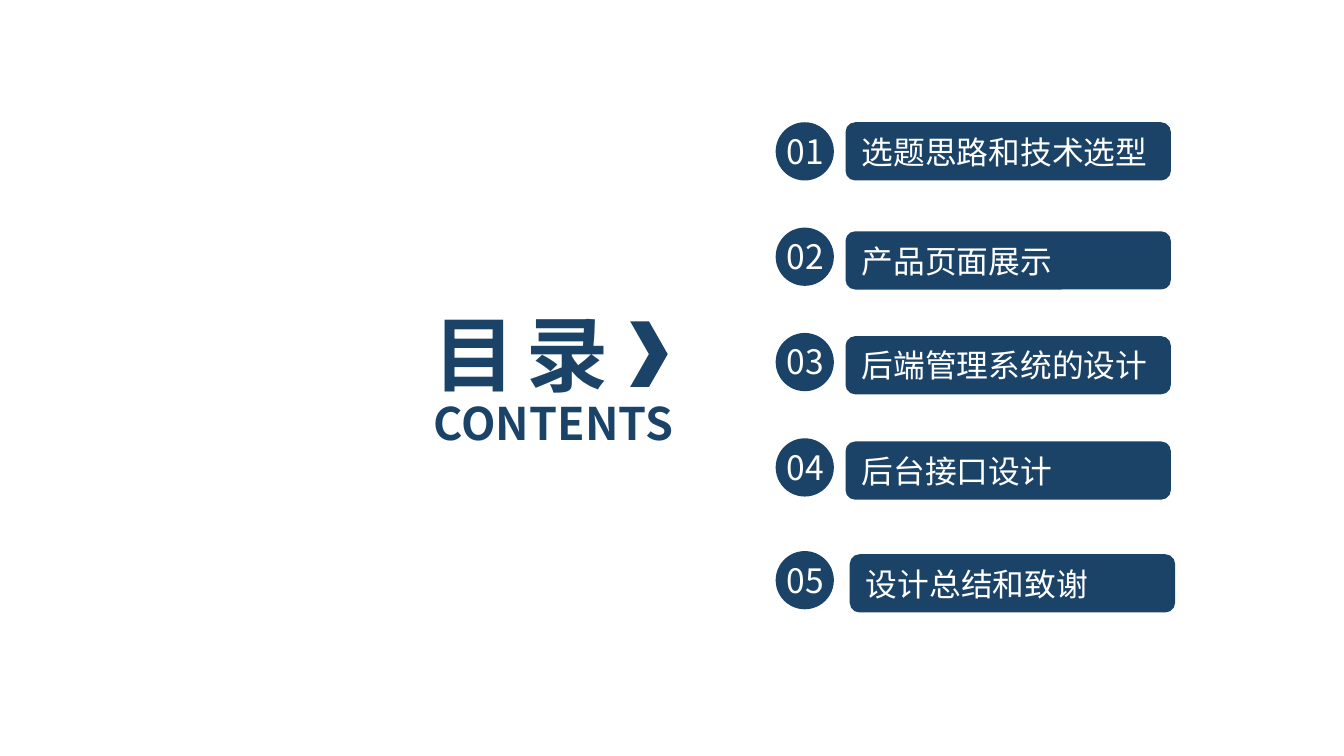
from pptx import Presentation
from pptx.dml.color import RGBColor
from pptx.enum.shapes import MSO_SHAPE
from pptx.enum.text import MSO_ANCHOR, PP_ALIGN
from pptx.oxml.ns import qn
from pptx.util import Cm, Pt

ROUNDED, OVAL, CHEVRON = MSO_SHAPE.ROUNDED_RECTANGLE, MSO_SHAPE.OVAL, MSO_SHAPE.CHEVRON
MIDDLE = MSO_ANCHOR.MIDDLE
LEFT, CENTER = PP_ALIGN.LEFT, PP_ALIGN.CENTER

COLORS = {"navy": "1B4367", "white": "FFFFFF"}
FONT = "Noto Sans CJK SC"
FORMATS = {
    "title": {"size": Pt(44), "bold": True},
    "subtitle": {"size": Pt(24), "bold": True},
    "number": {"size": Pt(18), "bold": False},
    "topic": {"size": Pt(17), "bold": False},
}

# Topic, then left and top of its bar relative to the number circle (cm)
TOPICS = [
    ("选题思路和技术选型", 1.32, 0),
    ("产品页面展示", 1.32, 0.07),
    ("后端管理系统的设计", 1.32, 0.06),
    ("后台接口设计", 1.32, 0.06),
    ("设计总结和致谢", 1.4, 0.06),
]
ROW_HEIGHT = 1.1
ROW_PITCH = 1.99
LAST_ROW_DROP = 0.14


def write(sp, text, kind, color, align=LEFT, wrap=True, spacing=None):
    tf = sp.text_frame
    tf.word_wrap = wrap
    tf.vertical_anchor = MIDDLE
    p = tf.paragraphs[0]
    p.alignment = align
    r = p.add_run()
    r.text = text
    for name, value in FORMATS[kind].items():
        setattr(r.font, name, value)
    r.font.name = FONT
    r.font.color.rgb = RGBColor.from_string(COLORS[color])
    rPr = r.font._element
    rPr.get_or_add_latin().addnext(rPr.makeelement(qn("a:ea"), {"typeface": FONT}))
    if spacing is not None:
        rPr.set("spc", str(spacing))


def add_solid(shapes, kind, x, y, w, h):
    sp = shapes.add_shape(kind, Cm(x), Cm(y), Cm(w), Cm(h))
    sp.shadow.inherit = False
    sp.fill.solid()
    sp.fill.fore_color.rgb = RGBColor.from_string(COLORS["navy"])
    sp.line.fill.background()
    return sp


def add_text(shapes, x, y, w, h, text, kind, color, **options):
    sp = shapes.add_textbox(Cm(x), Cm(y), Cm(w), Cm(h))
    write(sp, text, kind, color, **options)


def add_heading(s, x, y, w):
    """Title, subtitle and the chevron pointing at the list."""
    add_text(s.shapes, x, y, w, 2.13, "目 录", "title", "navy", wrap=False, spacing=-220)
    add_text(s.shapes, x, y + 1.75, w, 1.27, "CONTENTS", "subtitle", "navy", wrap=False)
    add_solid(s.shapes, CHEVRON, x + 3.96, y + 0.48, 0.71, 1.24)


def add_topic(s, x, y, w, number, topic, bar_dx, bar_dy):
    """One row: number in a circle, then the topic bar."""
    badge = s.shapes.add_group_shape().shapes
    add_solid(badge, OVAL, x, y, ROW_HEIGHT, ROW_HEIGHT)
    add_text(badge, x - 0.1, y + 0.03, 1.32, 1.02, f"{number:02}", "number", "white",
             align=CENTER, wrap=False)
    bar = add_solid(s.shapes, ROUNDED, x + bar_dx, y + bar_dy, w, ROW_HEIGHT)
    write(bar, topic, "topic", "white")


def add_topics(s, x, y, bar_width):
    for i, (topic, bar_dx, bar_dy) in enumerate(TOPICS):
        drop = LAST_ROW_DROP if i == len(TOPICS) - 1 else 0
        add_topic(s, x, y + i * ROW_PITCH + drop, bar_width, i + 1, topic, bar_dx, bar_dy)


def main():
    prs = Presentation()
    prs.slide_width, prs.slide_height = Cm(25.4), Cm(14.28)
    s = prs.slides.add_slide(prs.slide_layouts[6])
    add_heading(s, 7.95, 5.59, 5.97)
    add_topics(s, 14.66, 2.31, 6.15)
    prs.save("out.pptx")


if __name__ == "__main__":
    main()
